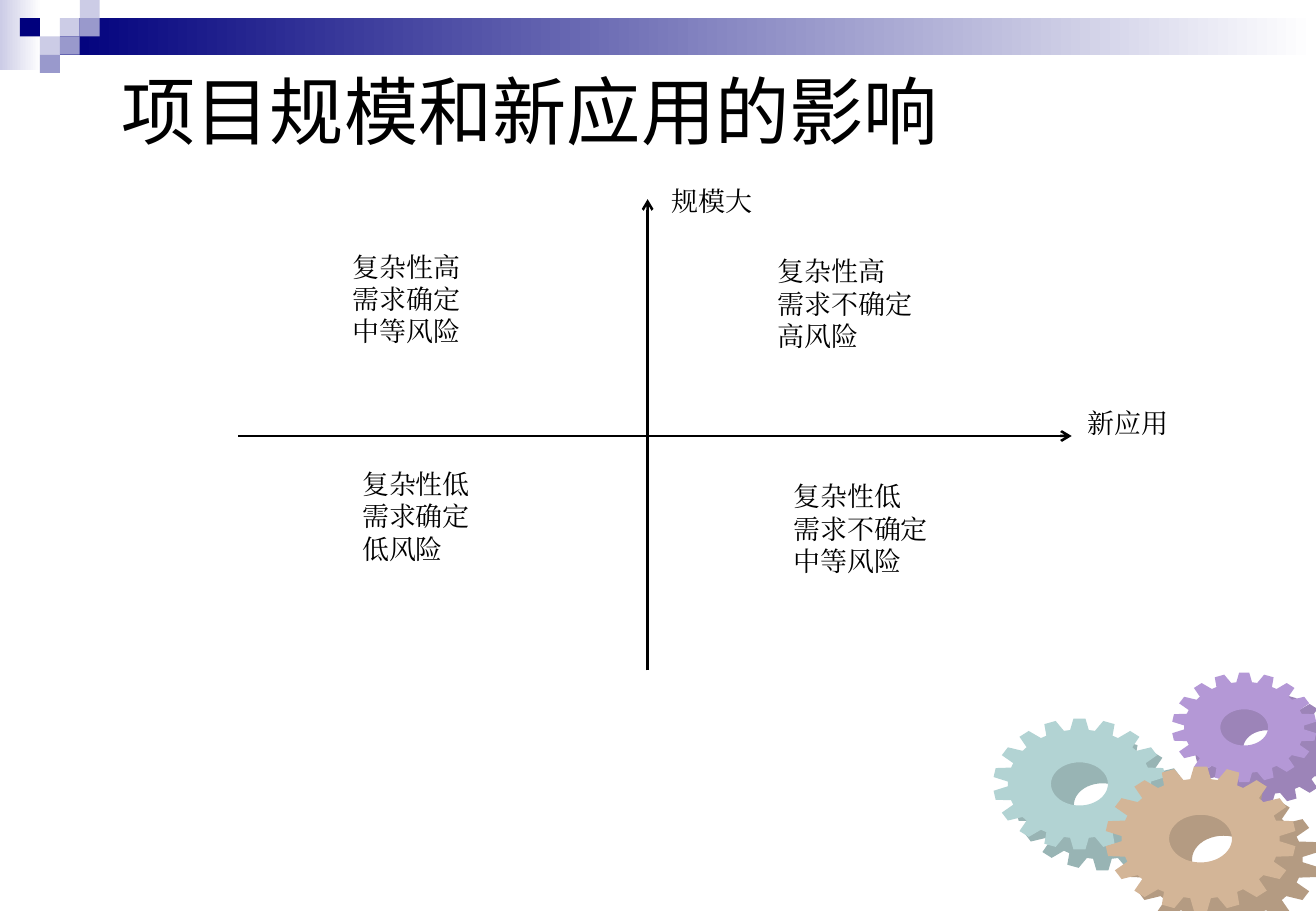
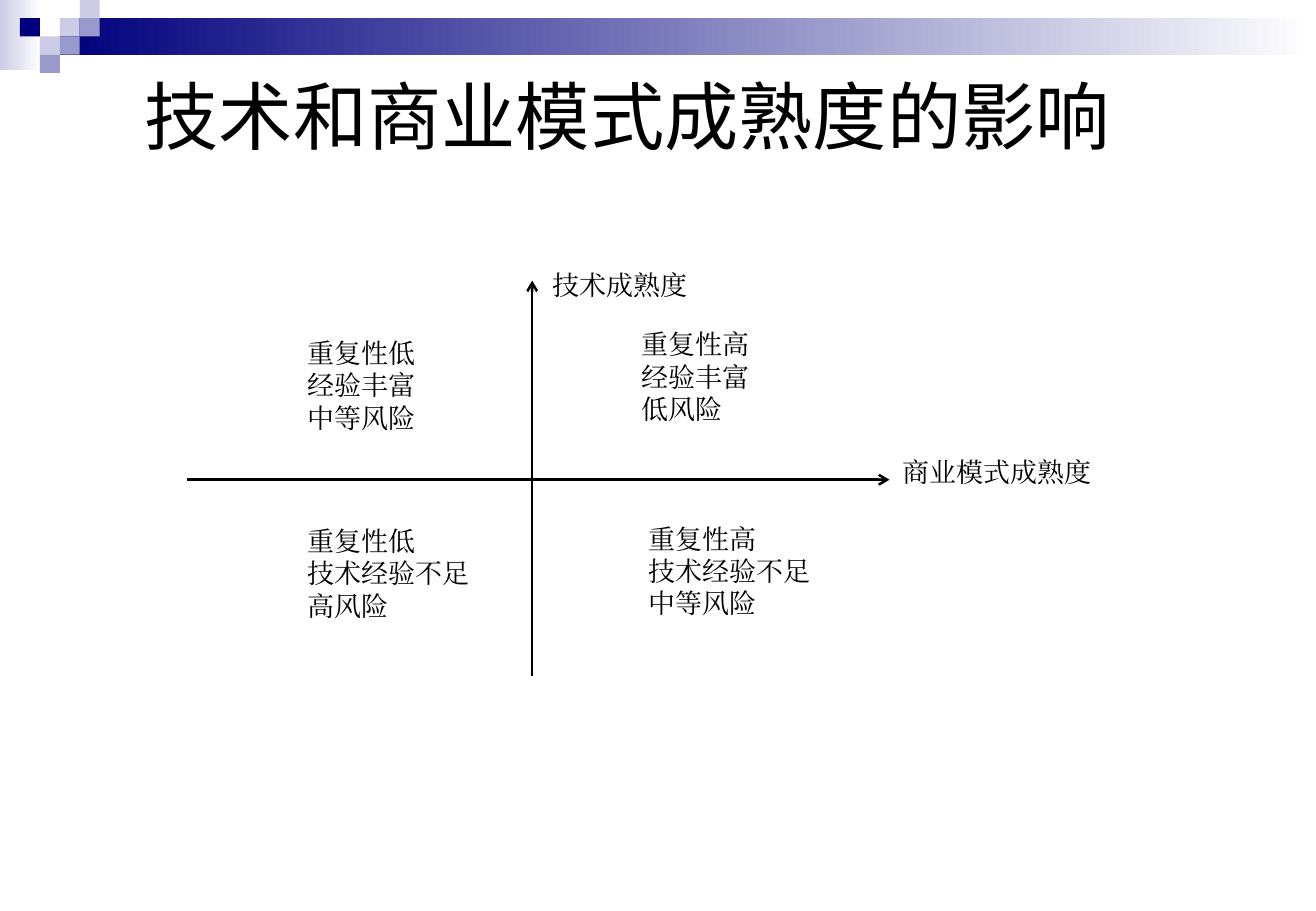
from math import cos, radians, sin

from lxml import etree
from pptx import Presentation
from pptx import util as u
from pptx.dml.color import RGBColor
from pptx.enum import lang, shapes, text
from pptx.oxml import ns

BLACK = RGBColor(0x00, 0x00, 0x00)
WHITE = RGBColor(0xFF, 0xFF, 0xFF)
NAVY = RGBColor(0x00, 0x00, 0x7D)
LILAC = RGBColor(0x99, 0x99, 0xCC)
PALE = RGBColor(0xCC, 0xCC, 0xE6)
PURPLE, PURPLE_SIDE = RGBColor(0xB4, 0x98, 0xD6), RGBColor(0x9C, 0x84, 0xB8)
TEAL, TEAL_SIDE = RGBColor(0xB2, 0xD3, 0xD3), RGBColor(0x98, 0xB4, 0xB4)
TAN, TAN_SIDE = RGBColor(0xD3, 0xB5, 0x97), RGBColor(0xB4, 0x9B, 0x82)
TITLE_FONT, BODY_FONT = "Noto Sans CJK JP", "Times New Roman"

prs = Presentation()
prs.slide_width, prs.slide_height = u.Inches(10.83), u.Inches(7.5)
COL, ROW = prs.slide_width / 66, prs.slide_height / 50


def grid(*cells):
    """Turn alternating columns and rows into slide lengths."""
    return [round(c * (ROW if i % 2 else COL)) for i, c in enumerate(cells)]


def add_run(p, words, font, size):
    r = p.add_run()
    r.text = words
    r.font.name, r.font.size = font, u.Pt(size)
    r.font.color.rgb = BLACK
    r.font.language_id = lang.MSO_LANGUAGE_ID.SIMPLIFIED_CHINESE
    etree.SubElement(r.font._element, ns.qn("a:ea"), typeface=font)


# Title, axes (left, right, level, centre, bottom, top) and labels
CHARTS = [
    ("项目规模和新应用的影响", (5.48, 1.87, 45.22, 8.33),
     (11.94, 53.75, 23.93, 32.48, 36.8, 10.93),
     [(["新应用"], (54.42, 22.27, 7.98, 2.93)),
      (["规模大"], (33.58, 10.07, 10.24, 2.93)),
      (["复杂性高", "需求不确定", "高风险"], (38.88, 13.93, 10.48, 8.53)),
      (["复杂性低", "需求不确定", "中等风险"], (39.67, 26.27, 10.48, 8.53)),
      (["复杂性高", "需求确定", "中等风险"], (17.55, 13.67, 10.48, 8.53)),
      (["复杂性低", "需求确定", "低风险"], (18.04, 25.6, 10.48, 8.53))]),
    ("技术和商业模式成熟度的影响", (6.64, 4.53, 50.52, 3.53),
     (9.39, 44.61, 26.33, 26.69, 37.13, 15.4),
     [(["商业模式成熟度"], (45.16, 24.93, 11.46, 2.47)),
      (["技术成熟度"], (27.61, 14.67, 8.59, 2.47)),
      (["重复性高", "经验丰富", "低风险"], (32.06, 17.93, 7.8, 7.27)),
      (["重复性低", "技术经验不足", "高风险"], (15.3, 28.73, 9.57, 6.73)),
      (["重复性低", "经验丰富", "中等风险"], (15.3, 18.4, 7.86, 6.8)),
      (["重复性高", "技术经验不足", "中等风险"], (32.42, 28.6, 8.78, 7.27))]),
]

layout = prs.slide_layouts[5]
slides = [prs.slides.add_slide(layout) for _ in CHARTS]

# Shared band and checker cells, moved to the layout behind its placeholders
BAND = [
    ((0, 0, 2.07, 3.87), PALE, True), ((3, 1, 63, 2), NAVY, True),
    ((3, 1, 1, 1), PALE, False), ((4, 0, 1, 1), PALE, False),
    ((4, 1, 1, 1), LILAC, False), ((2, 2, 1, 1), PALE, False),
    ((1, 1, 1, 1), NAVY, False), ((3, 2, 1, 1), LILAC, False),
    ((2, 3, 1, 1), LILAC, False),
]
for i, (cells, color, fades) in enumerate(BAND):
    sp = slides[0].shapes.add_shape(shapes.MSO_SHAPE.RECTANGLE, *grid(*cells))
    sp.shadow.inherit = False
    sp.line.fill.background()
    if fades:
        sp.fill.gradient()
        sp.fill.gradient_angle = 0
        for stop, c in zip(sp.fill.gradient_stops, (color, WHITE)):
            stop.color.rgb = c
    else:
        sp.fill.solid()
        sp.fill.fore_color.rgb = color
    sp.element.xpath("./p:nvSpPr/p:cNvPr")[0].set("id", str(20 + i))
    layout.shapes.element.insert(2 + i, sp.element)

# Gears: 18 teeth round a hole, a darker side behind each face
TOOTH = [(-7.5, 0.83), (-4, 1), (4, 1), (7.5, 0.83)]
RIM = [(20 * k + a, f) for k in range(18) for a, f in TOOTH]
HOLE = [(-a, 0.33) for a in range(0, 360, 8)]
for cx, cy, size, face, side in [
    (62.4, 39.93, 3.63, PURPLE, PURPLE_SIDE),
    (54.14, 43.03, 4.33, TEAL, TEAL_SIDE),
    (60.21, 46.03, 4.78, TAN, TAN_SIDE),
]:
    for depth, color in ((1.15, side), (0, face)):
        rim, hole = [
            [grid(cx + depth + size * f * sin(radians(a)),
                  cy + depth - 0.83 * size * f * cos(radians(a)))
             for a, f in outline]
            for outline in (RIM, HOLE)
        ]
        ff = slides[0].shapes.build_freeform(*rim[0])
        ff.add_line_segments(rim[1:])
        ff.move_to(*hole[0])
        ff.add_line_segments(hole[1:])
        sp = ff.convert_to_shape()
        sp.shadow.inherit = False
        sp.fill.solid()
        sp.fill.fore_color.rgb = color
        sp.line.fill.background()

for s, (title, place, axes, labels) in zip(slides, CHARTS):
    # Title
    sp = s.shapes.title
    sp.left, sp.top, sp.width, sp.height = grid(*place)
    tf = sp.text_frame
    tf.auto_size = text.MSO_AUTO_SIZE.NONE
    tf.vertical_anchor = text.MSO_ANCHOR.MIDDLE
    tf.paragraphs[0].alignment = text.PP_ALIGN.LEFT
    add_run(tf.paragraphs[0], title, TITLE_FONT, 44)

    # Axes
    left, right, level, centre, bottom, top = axes
    for ends in ((left, level, right, level), (centre, bottom, centre, top)):
        line = s.shapes.add_connector(shapes.MSO_CONNECTOR.STRAIGHT, *grid(*ends))
        line.line.color.rgb = BLACK
        line.line.width = u.Pt(1.5)
        etree.SubElement(line.line._get_or_add_ln(), ns.qn("a:tailEnd"), type="arrow")
        etree.SubElement(line.element.spPr, ns.qn("a:effectLst"))

    # Axis names and quadrant notes
    for lines, place in labels:
        tf = s.shapes.add_textbox(*grid(*place)).text_frame
        tf.word_wrap = True
        tf.margin_left = tf.margin_right = u.Inches(0.02)
        tf.margin_top = tf.margin_bottom = u.Inches(0.01)
        for i, words in enumerate(lines):
            p = tf.add_paragraph() if i else tf.paragraphs[0]
            p.alignment = text.PP_ALIGN.JUSTIFY
            add_run(p, words, BODY_FONT, 16)

prs.save("out.pptx")
